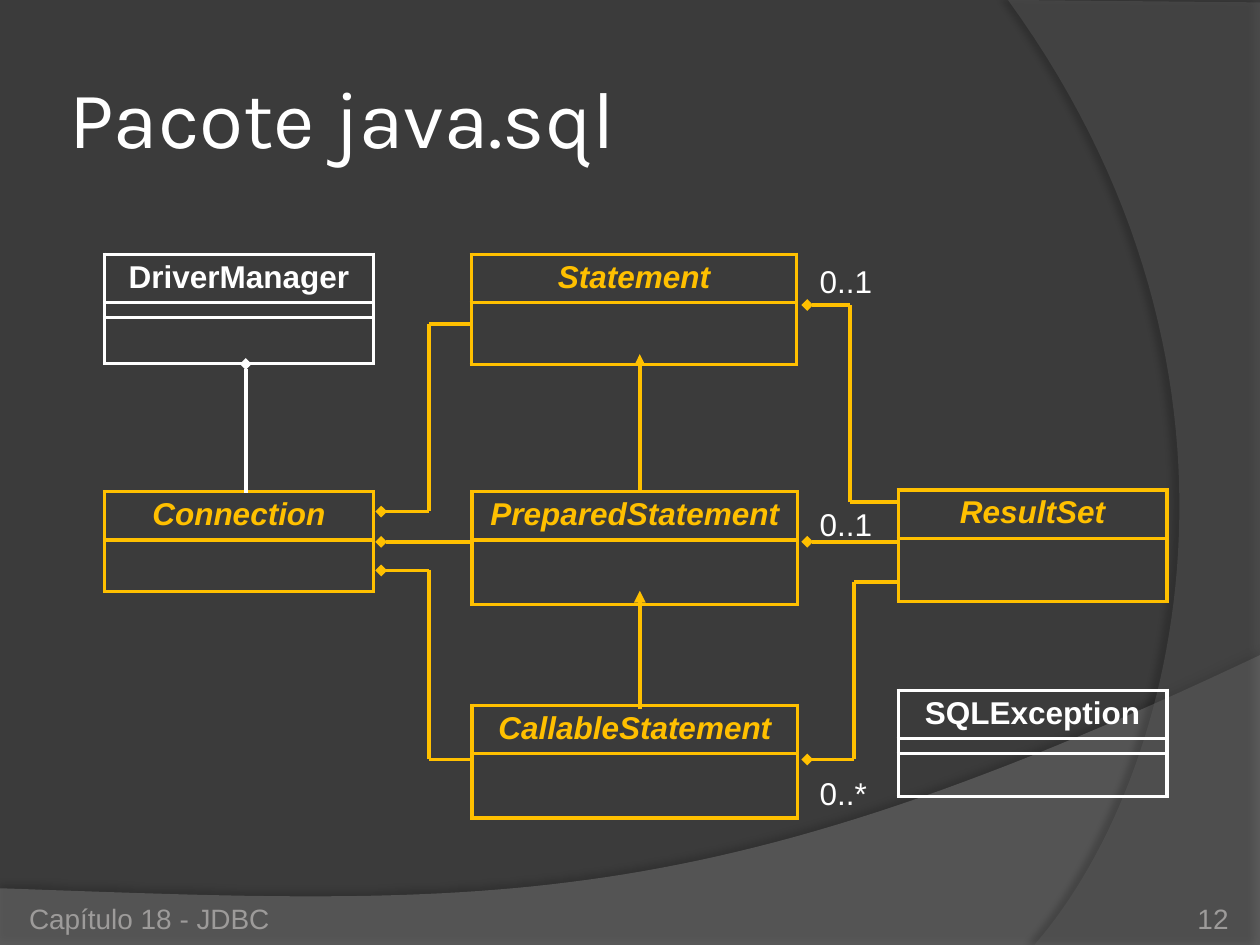
from dataclasses import dataclass
from itertools import pairwise

from lxml.etree import SubElement
from pptx import Presentation
from pptx.dml.color import RGBColor
from pptx.enum.shapes import MSO_CONNECTOR
from pptx.enum.text import MSO_ANCHOR, PP_ALIGN
from pptx.oxml import parse_xml
from pptx.oxml.ns import nsdecls, qn
from pptx.util import Pt


@dataclass(frozen=True)
class Theme:
    background: str = "3B3B3B"
    wave: str = "7F7F7F"
    arc: str = "5E5E5E"
    white: str = "FFFFFF"
    gold: str = "FFC000"
    muted: str = "9D9B9A"
    heading_font: str = "Karla"
    body_font: str = "Arial"
    heading_size: float = 46
    body_size: float = 18
    footer_size: float = 16
    stroke: float = 2.25


@dataclass(frozen=True)
class Box:
    left: float
    top: float
    width: float
    height: float

    def inner(self, left, top, width, height):
        return Box(self.left + left, self.top + top, width, height)

    def lengths(self):
        return Pt(self.left), Pt(self.top), Pt(self.width), Pt(self.height)


THEME = Theme()


def write(frame, text, size=THEME.body_size, font=THEME.body_font, color=THEME.white,
          bold=False, italic=False, align=PP_ALIGN.LEFT):
    paragraph = frame.paragraphs[0]
    paragraph.alignment = align
    run = paragraph.add_run()
    run.text = text
    run.font.size = Pt(size)
    run.font.name = font
    run.font.bold = bold
    run.font.italic = italic
    run.font.color.rgb = RGBColor.from_string(color)


def add_text(slide, box, text, inset=0, anchor=MSO_ANCHOR.BOTTOM, wrap=True, **style):
    frame = slide.shapes.add_textbox(*box.lengths()).text_frame
    frame.word_wrap = wrap
    frame.vertical_anchor = anchor
    frame.margin_left = frame.margin_right = Pt(inset)
    frame.margin_top = frame.margin_bottom = Pt(min(inset, 3.6))
    write(frame, text, **style)


def bezier(start, control_a, control_b, end, steps=60):
    for step in range(1, steps + 1):
        t = step / steps
        weights = ((1 - t) ** 3, 3 * t * (1 - t) ** 2, 3 * t * t * (1 - t), t ** 3)
        yield tuple(sum(w * p[axis] for w, p in zip(weights, (start, control_a, control_b, end)))
                    for axis in (0, 1))


def add_swoosh(slide, box, points, color, opacity, shadow_opacity, distance, angle):
    placed = [(Pt(box.left + x), Pt(box.top + y)) for x, y in points]
    builder = slide.shapes.build_freeform(*placed[0])
    builder.add_line_segments(placed[1:], close=True)
    swoosh = builder.convert_to_shape()
    swoosh.line.fill.background()
    swoosh.fill.solid()
    swoosh.fill.fore_color.rgb = RGBColor.from_string(color)
    tint = swoosh.fill._xPr.find(qn("a:solidFill"))[0]
    SubElement(tint, qn("a:alpha"), val=str(opacity * 1000))
    swoosh._element.spPr.append(parse_xml(
        f'<a:effectLst {nsdecls("a")}><a:outerShdw blurRad="{Pt(4)}" dist="{Pt(distance)}" '
        f'dir="{angle * 60000}" algn="tl" rotWithShape="0"><a:srgbClr val="000000">'
        f'<a:alpha val="{shadow_opacity * 1000}"/></a:srgbClr></a:outerShdw></a:effectLst>'))


def add_backdrop(slide, box):
    background = slide.background.fill
    background.solid()
    background.fore_color.rgb = RGBColor.from_string(THEME.background)
    right, bottom = box.width, box.height
    crest = (right, 374.4)
    wave = [(0, 507.6), (0, bottom), (right, bottom), crest,
            *bezier(crest, (402.5, 524.9), (281.5, 517.7), (0, 507.6))]
    add_swoosh(slide, box, wave, THEME.wave, 45, 35, 3.5, 270)
    foot = (591.1, bottom)
    arc = [(right, 1.4), (right, bottom), foot,
           *bezier(foot, (673.2, 445.7), (733, 216), (576, 0))]
    add_swoosh(slide, box, arc, THEME.arc, 40, 45, 4, 180)


def add_class(slide, box, name, rows, color=THEME.gold, italic=True):
    frame = slide.shapes.add_table(len(rows), 1, *box.lengths())
    grid = frame.table
    grid.first_row = grid.horz_banding = False
    grid.columns[0].width = Pt(box.width)
    for index, height in enumerate(rows):
        grid.rows[index].height = Pt(height)
        cell = grid.cell(index, 0)
        cell.margin_top = cell.margin_bottom = Pt(0 if index else 3)
        properties = cell._tc.get_or_add_tcPr()
        for side in "LRTB":
            properties.append(parse_xml(
                f'<a:ln{side} {nsdecls("a")} w="{Pt(THEME.stroke)}"><a:solidFill>'
                f'<a:srgbClr val="{color}"/></a:solidFill></a:ln{side}>'))
        cell.fill.background()
        if index:
            cell.text_frame.paragraphs[0]._p.get_or_add_endParaRPr().set("sz", "400")
        else:
            write(cell.text_frame, name, color=color, bold=True, italic=italic,
                  align=PP_ALIGN.CENTER)


def add_link(slide, box, points, tip="diamond", color=THEME.gold):
    placed = [(Pt(box.left + x), Pt(box.top + y)) for x, y in points]
    for start, end in pairwise(placed):
        segment = slide.shapes.add_connector(MSO_CONNECTOR.STRAIGHT, *start, *end)
        segment.line.width = Pt(THEME.stroke)
        segment.line.color.rgb = RGBColor.from_string(color)
        SubElement(segment._element.spPr, qn("a:effectLst"))
    SubElement(segment.line._get_or_add_ln(), qn("a:tailEnd"), type=tip)


def add_class_diagram(slide, box):
    side, middle = 153.5, 186
    center, right = 210, box.width - side
    plain = {"color": THEME.white, "italic": False}
    classes = [
        ("Connection", 0, 136, side, (27.6, 29.4), {}),
        ("Statement", center - 0.5, 0.4, middle, (27.6, 35.4), {}),
        ("SQLException", right, 249.5, side, (27.6, 8.5, 24.5), plain),
        ("DriverManager", 0, 0.4, side, (27.6, 8.5, 26.4), plain),
        ("PreparedStatement", center, 136, middle, (27.6, 36.9), {}),
        ("CallableStatement", center, 258, middle, (27.6, 36.9), {}),
        ("ResultSet", right, 135, side, (27.6, 36), {}),
    ]
    for name, left, top, width, rows, style in classes:
        add_class(slide, box.inner(left, top, width, sum(rows)), name, rows, **style)

    to_connection, connection_bend = 158, 185.5
    to_statement, axis = 401.5, 305.8
    top_bend, low_bend = 426, 428.3
    upper, level, lower = 147.3, 164.6, 181
    compositions = [
        [(center, 40), (connection_bend, 40), (connection_bend, upper), (to_connection, upper)],
        [(center, level), (to_connection, level)],
        [(center, 289), (connection_bend, 289), (connection_bend, lower), (to_connection, lower)],
        [(right, 142), (top_bend, 142), (top_bend, 29.3), (to_statement, 29.3)],
        [(right, level), (to_statement, level)],
        [(right, 187.6), (low_bend, 187.6), (low_bend, 289), (to_statement, 289)],
    ]
    for points in compositions:
        add_link(slide, box, points)
    add_link(slide, box, [(80.6, 136.5), (80.6, 63)], color=THEME.white)
    for start, end in ((136.5, 57.4), (260.4, 192.6)):
        add_link(slide, box, [(axis, start), (axis, end)], tip="triangle")

    for text, top in (("0..1", 1.2), ("0..1", 140), ("0..*", 293.5)):
        add_text(slide, box.inner(to_statement, top, 44.6, 29), text,
                 inset=7.2, anchor=MSO_ANCHOR.TOP, wrap=False)


def add_footer(slide, box):
    style = {"size": THEME.footer_size, "color": THEME.muted}
    add_text(slide, box.inner(0, 0, 228, box.height), "Capítulo 18 - JDBC", **style)
    add_text(slide, box.inner(box.width - 60, 0, 60, box.height), "12",
             align=PP_ALIGN.RIGHT, **style)


def main():
    deck = Presentation()
    deck.slide_width, deck.slide_height = Pt(720), Pt(540)
    slide = deck.slides.add_slide(deck.slide_layouts[6])
    add_backdrop(slide, Box(0, 0, 720, 540))
    add_text(slide, Box(36, 21.6, 588, 90), "Pacote java.sql", inset=3.6,
             anchor=MSO_ANCHOR.MIDDLE, size=THEME.heading_size, font=THEME.heading_font)
    add_class_diagram(slide, Box(59.8, 145, 607, 323))
    add_footer(slide, Box(16.6, 505.4, 685.4, 28.8))
    deck.save("out.pptx")


if __name__ == "__main__":
    main()
